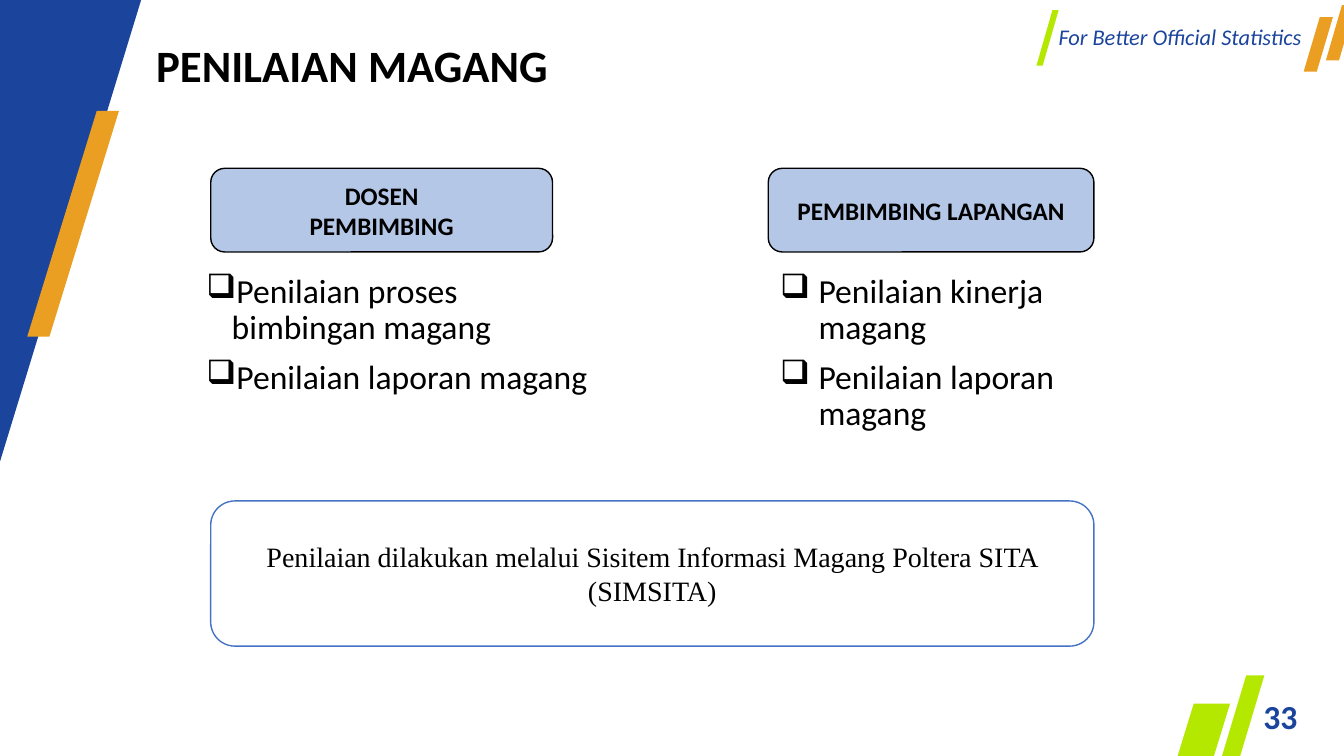
from lxml import etree
from pptx import Presentation
from pptx import util as u
from pptx.dml.color import RGBColor
from pptx.enum import shapes, text
from pptx.oxml.ns import qn

NAVY = RGBColor(0x1B, 0x44, 0x9C)
LIME = RGBColor(0xB4, 0xE8, 0x00)
AMBER = RGBColor(0xEA, 0x9E, 0x22)
PALE = RGBColor(0xB4, 0xC7, 0xE7)
BLUE = RGBColor(0x44, 0x72, 0xC4)
BLACK = RGBColor(0, 0, 0)
WHITE = RGBColor(0xFF, 0xFF, 0xFF)

KIND = shapes.MSO_SHAPE
MID = text.MSO_ANCHOR.MIDDLE
TOP = text.MSO_ANCHOR.TOP
LEFT = text.PP_ALIGN.LEFT
MIDST = text.PP_ALIGN.CENTER

# Content: slanted bands as top-left, top, top width, bottom-left, bottom, colour
BANDS = [
    (12.36, 6.7, 0.18, 12.12, 7.5, LIME),
    (11.84, 6.98, 0.36, 11.68, 7.5, LIME),
    (0.96, 1.1, 0.22, 0.27, 3.34, AMBER),
    (13.09, 0.17, 0.13, 12.93, 0.71, AMBER),
    (13.31, 0.05, 0.13, 13.15, 0.6, AMBER),
]
CORNER = [(0, 0), (1.4, 0), (0, 4.58)]
STRIPE = (10.28, 0.1, 0.22, 0.55)

# Plain text: box, lines, format, alignment, anchor
LABELS = [
    ((11.2, 6.9, 3, 0.4), ["33"],
     dict(size=u.Pt(24), bold=True, color=NAVY), MIDST, MID),
    ((10.4, 0.18, 2.81, 0.37), ["For Better Official Statistics"],
     dict(size=u.Pt(16), italic=True, color=NAVY), LEFT, TOP),
    ((1.45, 0.33, 8.95, 0.64), ["PENILAIAN MAGANG"],
     dict(size=u.Pt(32), bold=True), LEFT, TOP),
]

# Rounded boxes: box, lines, fill, line, format
HEAD = dict(size=u.Pt(18), bold=True)
BOXES = [
    ((2.09, 1.67, 3.39, 0.83), ["DOSEN", "PEMBIMBING"], PALE, BLACK, HEAD),
    ((7.62, 1.67, 3.23, 0.83), ["PEMBIMBING LAPANGAN"], PALE, BLACK, HEAD),
    ((2.09, 4.97, 8.76, 1.44),
     ["Penilaian dilakukan melalui Sisitem Informasi Magang "
      "Poltera SITA (SIMSITA)"],
     WHITE, BLUE, dict(size=u.Pt(20), name="Times New Roman")),
]

# Bullet lists: box, left margin, hanging indent, lines
LISTS = [
    ((1.95, 2.67, 4.16, 4.2), 0.25, 0.25,
     ["Penilaian proses bimbingan magang", "Penilaian laporan magang"]),
    ((7.52, 2.67, 3.45, 4.2), 0.5, 0.38,
     ["Penilaian kinerja magang", "Penilaian laporan magang"]),
]

deck = Presentation()
deck.slide_width, deck.slide_height = u.Inches(13.33), u.Inches(7.5)
slide = deck.slides.add_slide(deck.slide_layouts[6])


def inch(box):
    return [u.Inches(v) for v in box]


def paint(shape, fill, line=None):
    shape.shadow.inherit = False
    shape.fill.solid()
    shape.fill.fore_color.rgb = fill
    if line is None:
        shape.line.fill.background()
    else:
        shape.line.color.rgb = line
        shape.line.width = u.Pt(1)


def outline(pts, fill):
    pts = [inch(p) for p in pts]
    form = slide.shapes.build_freeform(*pts[0])
    form.add_line_segments(pts[1:], close=True)
    paint(form.convert_to_shape(), fill)


def write(shape, lines, style, align=LEFT, anchor=TOP):
    frame = shape.text_frame
    frame.word_wrap = True
    frame.vertical_anchor = anchor
    look = {"name": "Calibri", "color": BLACK, **style}
    tint = look.pop("color")
    for i, line in enumerate(lines):
        para = frame.add_paragraph() if i else frame.paragraphs[0]
        para.alignment = align
        run = para.add_run()
        run.text = line
        run.font.color.rgb = tint
        for key, val in look.items():
            setattr(run.font, key, val)
    return frame.paragraphs


# Corner and slanted bands
outline(CORNER, NAVY)
for x, y, wide, foot, base, fill in BANDS:
    outline([(x, y), (x + wide, y), (foot + wide, base), (foot, base)], fill)
stripe = slide.shapes.add_shape(KIND.PARALLELOGRAM, *inch(STRIPE))
stripe.adjustments[0] = 0.72
paint(stripe, LIME)

# Title, tagline and page number
for box, lines, style, align, anchor in LABELS:
    write(slide.shapes.add_textbox(*inch(box)), lines, style, align, anchor)

# Bullet lists
for box, margin, hang, lines in LISTS:
    area = slide.shapes.add_textbox(*inch(box))
    for para in write(area, lines, dict(size=u.Pt(24))):
        para.line_spacing = 0.9
        para.space_before = u.Pt(10)
        props = para._p.get_or_add_pPr()
        props.set("marL", str(u.Inches(margin)))
        props.set("indent", str(-u.Inches(hang)))
        etree.SubElement(props, qn("a:buChar")).set("char", "❑")

# Rounded boxes
for box, lines, fill, line, style in BOXES:
    card = slide.shapes.add_shape(KIND.ROUNDED_RECTANGLE, *inch(box))
    paint(card, fill, line)
    write(card, lines, style, MIDST, MID)

deck.save("out.pptx")
